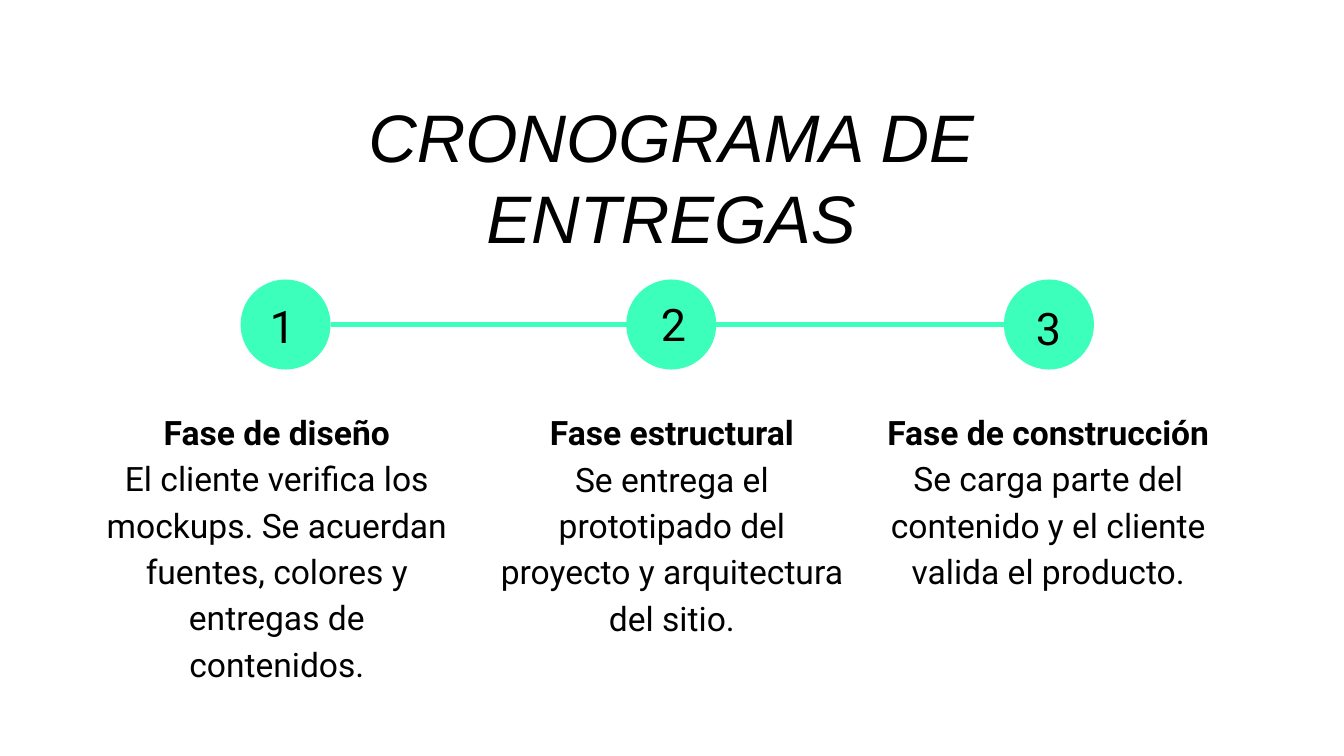
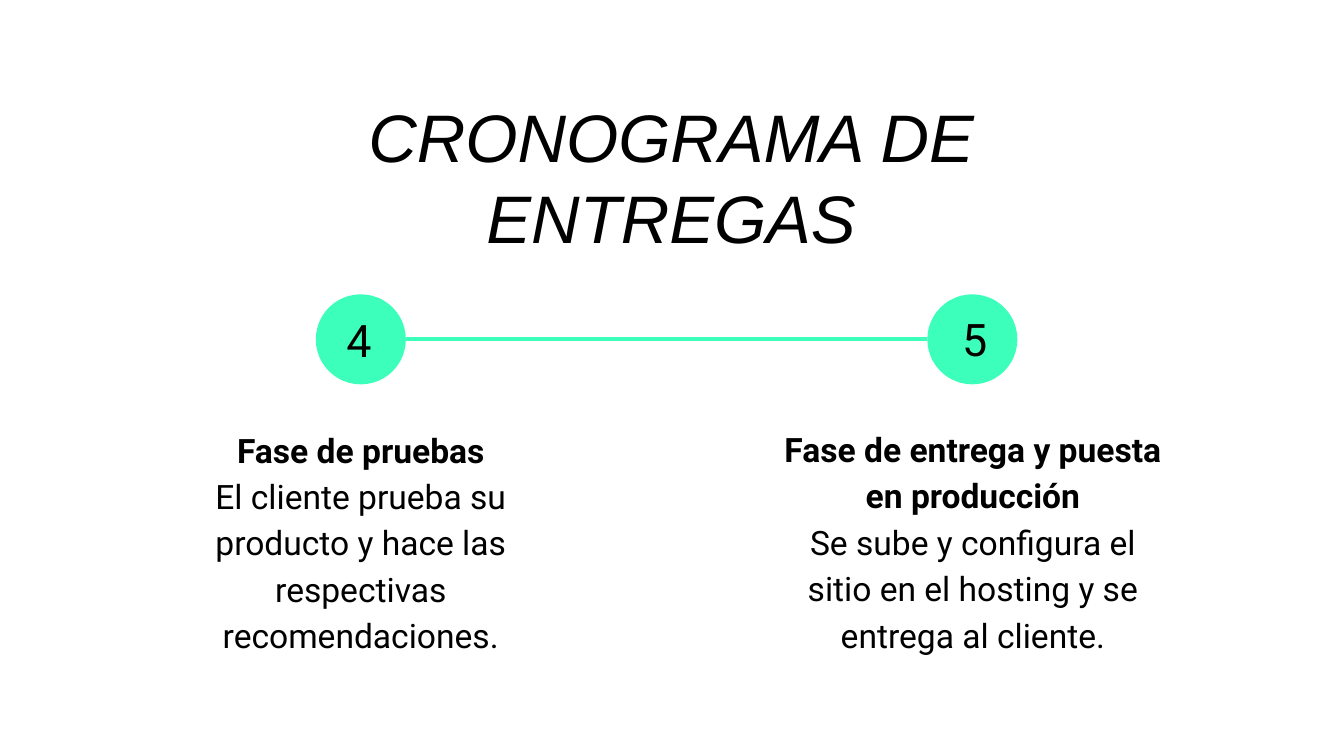
from pptx import Presentation
from pptx.dml.color import RGBColor
from pptx.enum.shapes import MSO_CONNECTOR, MSO_SHAPE
from pptx.enum.text import MSO_ANCHOR, MSO_AUTO_SIZE, PP_ALIGN
from pptx.oxml.ns import qn
from pptx.util import Inches, Pt
from lxml import etree

TOP, MIDDLE = MSO_ANCHOR.TOP, MSO_ANCHOR.MIDDLE
LEFT, CENTER = PP_ALIGN.LEFT, PP_ALIGN.CENTER
NO_FIT = MSO_AUTO_SIZE.NONE
OVAL, STRAIGHT = MSO_SHAPE.OVAL, MSO_CONNECTOR.STRAIGHT
TITLE_ONLY = 5

SLIDE_W = 10
SLIDE_H = SLIDE_W * 9 / 16

COLORS = {"accent": "3DFFBC", "text": "000000", "back": "FFFFFF"}
TITLE = "CRONOGRAMA DE ENTREGAS"
TITLE_BOX = (1.43, 0.61, 7.13, 1.08)
TITLE_FONT = {"name": "Arial", "size": Pt(36), "italic": True, "bold": False}
NUMBER_FONT = {"name": "Roboto", "size": Pt(24)}
HEADING_FONT = {"name": "Roboto", "size": Pt(18), "bold": True}
BODY_FONT = {**HEADING_FONT, "bold": False}

CIRCLE = 0.67
INSET = 0.1
SPARE_LINE = 0.34  # one line of body text kept free under a phase

# Each phase: number, circle left, number offset in the circle,
# text box, room kept free below the text, heading, description
SLIDES = [
    {"circle_top": 2.08, "phases": [
        ("1", 1.79, (0.12, 0.04), (0.67, 3.47, 2.78, 1.17), 0, "Fase de diseño",
         "El cliente verifica los mockups. Se acuerdan fuentes, colores y "
         "entregas de contenidos."),
        ("2", 4.66, (0.16, 0.03), (3.61, 3.31, 2.78, 1.49), SPARE_LINE,
         "Fase estructural",
         "Se entrega el prototipado del proyecto y arquitectura del sitio."),
        ("3", 7.47, (0.14, 0.06), (6.41, 3.05, 2.78, 1.66), SPARE_LINE,
         "Fase de construcción",
         "Se carga parte del contenido y el cliente valida el producto."),
    ]},
    {"circle_top": 2.19, "phases": [
        ("4", 2.35, (0.13, 0.04), (1.4, 3.6, 2.57, 1.17), SPARE_LINE,
         "Fase de pruebas",
         "El cliente prueba su producto y hace las respectivas recomendaciones."),
        ("5", 6.9, (0.16, 0.03), (5.71, 3.25, 3.06, 1.86), SPARE_LINE,
         "Fase de entrega y puesta en producción",
         "Se sube y configura el sitio en el hosting y se entrega al cliente."),
    ]},
]


def rgb(name):
    return RGBColor.from_string(COLORS[name])


def inches(values):
    return [Inches(v) for v in values]


def fill_text(tf, paragraphs, align, anchor=TOP, spacing=1.0, spare=0):
    """Write (text, font values) pairs as the paragraphs of a text frame."""
    tf.word_wrap = True
    tf.auto_size = NO_FIT
    tf.vertical_anchor = anchor
    tf.margin_left = tf.margin_right = tf.margin_top = Inches(INSET)
    tf.margin_bottom = Inches(INSET + spare)
    for i, (text, font) in enumerate(paragraphs):
        p = tf.add_paragraph() if i else tf.paragraphs[0]
        p.alignment = align
        p.line_spacing = spacing
        r = p.add_run()
        r.text = text
        for key, value in font.items():
            setattr(r.font, key, value)
        r.font.color.rgb = rgb("text")


def add_title(s):
    sp = s.shapes.title
    sp.left, sp.top, sp.width, sp.height = inches(TITLE_BOX)
    fill_text(sp.text_frame, [(TITLE, TITLE_FONT)], CENTER)


def add_line(s, x1, x2, y):
    line = s.shapes.add_connector(STRAIGHT, *inches((x1, y, x2, y)))
    line.line.color.rgb = rgb("accent")
    line.line.width = Pt(2.25)
    etree.SubElement(line._element.spPr, qn("a:effectLst"))


def add_circle(s, x, y):
    sp = s.shapes.add_shape(OVAL, *inches((x, y, CIRCLE, CIRCLE)))
    sp.shadow.inherit = False
    sp.fill.solid()
    sp.fill.fore_color.rgb = rgb("accent")
    sp.line.fill.background()


def add_text(s, box, paragraphs, align, **layout):
    sp = s.shapes.add_textbox(*inches(box))
    fill_text(sp.text_frame, paragraphs, align, **layout)


def add_phase(s, top, number, left, offset, box, spare, heading, body):
    add_circle(s, left, top)
    dx, dy = offset
    add_text(s, (left + dx, top + dy, 0.3, 0.4), [(number, NUMBER_FONT)], LEFT)
    add_text(s, box, [(heading, HEADING_FONT), (body, BODY_FONT)], CENTER,
             anchor=MIDDLE, spacing=1.15, spare=spare)


def add_timeline(s, circle_top, phases):
    # The line runs behind the circles, from the first to the last
    first, last = phases[0][1], phases[-1][1]
    add_line(s, first + CIRCLE, last, circle_top + CIRCLE / 2)
    for phase in phases:
        add_phase(s, circle_top, *phase)


def main():
    prs = Presentation()
    prs.slide_width, prs.slide_height = inches((SLIDE_W, SLIDE_H))
    for content in SLIDES:
        s = prs.slides.add_slide(prs.slide_layouts[TITLE_ONLY])
        s.background.fill.solid()
        s.background.fill.fore_color.rgb = rgb("back")
        add_title(s)
        add_timeline(s, **content)
    prs.save("out.pptx")


if __name__ == "__main__":
    main()
